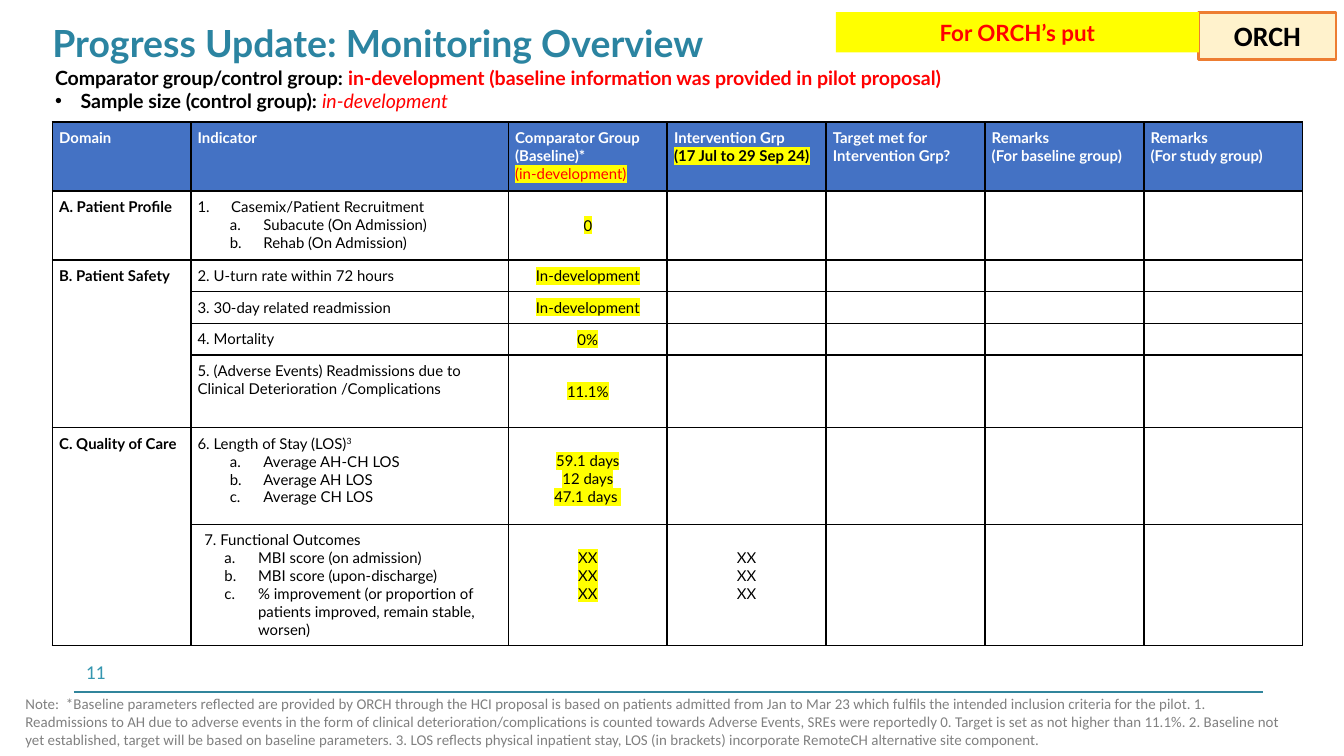
from lxml.etree import SubElement
from pptx import Presentation
from pptx.dml.color import RGBColor
from pptx.enum.shapes import MSO_CONNECTOR, MSO_SHAPE
from pptx.enum.text import MSO_ANCHOR, MSO_AUTO_SIZE, PP_ALIGN
from pptx.oxml.ns import qn
from pptx.util import Inches, Pt

COLORS = {"black": "000000", "white": "FFFFFF", "red": "FF0000", "yellow": "FFFF00",
          "header": "4472C4", "title": "2B84A1", "number": "3596B0", "rule": "31859C",
          "cream": "FFF2CC", "orange": "ED7D31", "grey": "808080"}
COLS = [10.3, 23.63] + [11.82] * 5
ROWS = [5.1, 5.13, 2.37, 2.37, 2.37, 5.4, 7.2, 9]
CENTER = PP_ALIGN.CENTER
MARK = dict(align=CENTER, highlight="yellow")
HEAD = dict(color="white", bold=True)


def write(tf, text, size=8, color="black", font="Lato", bold=False, italic=False, highlight=None,
          raised=False, align=PP_ALIGN.LEFT, bullet=None, indent=0, hang=0.25, join=False):
    """Add formatted text as a new paragraph, or join it to the last one."""
    p = tf.paragraphs[-1]
    if p.runs and not join:
        p = tf.add_paragraph()
    if not join:
        p.alignment = align
        p.space_before = Pt(0)
        pPr = p._p.get_or_add_pPr()
        pPr.set("marL", str(Inches(indent)))
        pPr.set("indent", str(-Inches(hang) if bullet else 0))
        if bullet == "•":
            SubElement(pPr, qn("a:buChar"), char=bullet)
        elif bullet:
            SubElement(pPr, qn("a:buAutoNum"), type=bullet)
        else:
            SubElement(pPr, qn("a:buNone"))
    r = p.add_run()
    r.text = text
    r.font.size, r.font.bold, r.font.italic = Pt(size), bold, italic
    r.font.color.rgb = RGBColor.from_string(COLORS[color])
    rPr = r._r.get_or_add_rPr()
    if raised:
        rPr.set("baseline", "30000")
    if highlight:
        SubElement(SubElement(rPr, qn("a:highlight")), qn("a:srgbClr"), val=COLORS[highlight])
    r.font.name = font


class Deck:
    """Holds the grid, the presentation and the current slide."""

    def __init__(self, cols=100, rows=56.25, unit=0.1):
        self.unit = unit
        self.prs = Presentation()
        self.prs.slide_width, self.prs.slide_height = self.grid(cols, rows)
        self.s = self.prs.slides.add_slide(self.prs.slide_layouts[1])

    def grid(self, *cells):
        """Turn grid columns or rows into lengths."""
        return [Inches(c * self.unit) for c in cells]

    def place(self, sp, at):
        """Move a placeholder and return its text frame."""
        sp.left, sp.top, sp.width, sp.height = self.grid(*at)
        tf = sp.text_frame
        tf.auto_size, tf.word_wrap = MSO_AUTO_SIZE.NONE, True
        return tf

    def title(self, at, text, **fmt):
        """Fill the title placeholder."""
        tf = self.place(self.s.shapes.title, at)
        tf.vertical_anchor = MSO_ANCHOR.MIDDLE
        tf.margin_left = tf.margin_right = Inches(0.08)
        tf.margin_top = tf.margin_bottom = Inches(0.04)
        write(tf, text, **fmt)

    def body(self, at, items):
        """Fill the body placeholder."""
        tf = self.place(self.s.placeholders[1], at)
        for text, fmt in items:
            write(tf, text, size=10.5, **fmt)

    def text(self, at, text, **fmt):
        """Add a wrapped text box."""
        tf = self.s.shapes.add_textbox(*self.grid(*at)).text_frame
        tf.word_wrap = True
        write(tf, text, **fmt)

    def box(self, at, text, fill, line=None, **fmt):
        """Add a filled rectangle with a centred label."""
        sp = self.s.shapes.add_shape(MSO_SHAPE.RECTANGLE, *self.grid(*at))
        sp.shadow.inherit = False
        sp.fill.solid()
        sp.fill.fore_color.rgb = RGBColor.from_string(COLORS[fill])
        if line:
            sp.line.color.rgb = RGBColor.from_string(COLORS[line])
            sp.line.width = Pt(1.5)
        else:
            sp.line.fill.background()
        write(sp.text_frame, text, align=CENTER, bold=True, **fmt)

    def rule(self, x1, x2, y, color):
        """Add a thin horizontal line."""
        c = self.s.shapes.add_connector(MSO_CONNECTOR.STRAIGHT, *self.grid(x1, y, x2, y))
        c.line.color.rgb = RGBColor.from_string(COLORS[color])
        c.line.width = Pt(1)
        SubElement(c._element.spPr, qn("a:effectLst"))

    def cell(self, cell, items, fill, middle=False, side=0.05, top=0.05):
        """Style one table cell and write its items."""
        cell.margin_left = cell.margin_right = Inches(side)
        cell.margin_top, cell.margin_bottom = Inches(top), Inches(0.05)
        cell.vertical_anchor = MSO_ANCHOR.MIDDLE if middle else MSO_ANCHOR.TOP
        tcPr = cell._tc.get_or_add_tcPr()
        for edge in ("lnL", "lnR", "lnT", "lnB"):
            ln = SubElement(tcPr, qn(f"a:{edge}"), w=str(Pt(1)))
            SubElement(SubElement(ln, qn("a:solidFill")), qn("a:srgbClr"), val=COLORS["black"])
        cell.fill.solid()
        cell.fill.fore_color.rgb = RGBColor.from_string(COLORS[fill])
        for text, fmt in items:
            write(cell.text_frame, text, **fmt)
        if not items:
            SubElement(cell.text_frame.paragraphs[0]._p, qn("a:endParaRPr"), sz="800")

    def table(self, left, top, cols, rows, cells, options, merges):
        """Add a bordered table from a sparse map of cells."""
        frame = self.s.shapes.add_table(len(rows), len(cols),
                                        *self.grid(left, top, sum(cols), sum(rows)))
        t = frame.table
        t.horz_banding = t.first_row = False
        for col, width in zip(t.columns, self.grid(*cols)):
            col.width = width
        for row, height in zip(t.rows, self.grid(*rows)):
            row.height = height
        for r in range(len(rows)):
            for c in range(len(cols)):
                self.cell(t.cell(r, c), cells.get((r, c), []), "white" if r else "header",
                          **options.get((r, c), {}))
        for column, first, last in merges:
            t.cell(first, column).merge(t.cell(last, column))


def lettered(indent, *texts):
    """Return lettered sub-items."""
    return [(t, dict(bullet="alphaLcPeriod", indent=indent)) for t in texts]


def table_cells():
    """Return the monitoring table's contents by row and column."""
    headers = [["Domain"], ["Indicator"], ["Comparator Group", "(Baseline)*"], ["Intervention Grp"],
               ["Target met for Intervention Grp?"], ["Remarks", "(For baseline group)"],
               ["Remarks", "(For study group)"]]
    cells = {(0, c): [(t, HEAD) for t in lines] for c, lines in enumerate(headers)}
    cells[0, 2].append(("(in-development)", dict(color="red", highlight="yellow")))
    cells[0, 3].append(("(17 Jul to 29 Sep 24)", dict(bold=True, highlight="yellow")))
    for r, domain in {1: "A. Patient Profile", 2: "B. Patient Safety", 6: "C. Quality of Care"}.items():
        cells[r, 0] = [(domain, dict(bold=True))]
    indicators = ["2. U-turn rate within 72 hours", "3. 30-day related readmission", "4. Mortality",
                  "5. (Adverse Events) Readmissions due to Clinical Deterioration /Complications"]
    for r, indicator in enumerate(indicators, 2):
        cells[r, 1] = [(indicator, {})]
    cells[1, 1] = [("Casemix/Patient Recruitment", dict(bullet="arabicPeriod", indent=0.25)),
                   *lettered(0.49, "Subacute (On Admission)", "Rehab (On Admission)")]
    cells[6, 1] = [("6. Length of Stay (LOS)", {}), ("3", dict(raised=True, join=True)),
                   *lettered(0.49, "Average AH-CH LOS", "Average AH LOS", "Average CH LOS")]
    cells[7, 1] = [("7. Functional Outcomes", {}),
                   *lettered(0.4, "MBI score (on admission)", "MBI score (upon-discharge)",
                             "% improvement (or proportion of patients improved, remain stable, worsen)")]
    baselines = [["0"], ["In-development"], ["In-development"], ["0%"], ["11.1%"],
                 ["59.1 days", "12 days", "47.1 days "], ["XX"] * 3]
    for r, values in enumerate(baselines, 1):
        cells[r, 2] = [(v, MARK) for v in values]
    cells[7, 3] = [("XX", dict(align=CENTER))] * 3
    return cells


def main():
    """Build the monitoring overview slide."""
    d = Deck()
    d.text((5.4, 48.6, 11.9, 2.8), "11", size=10.5, font="Calibri", color="number")
    d.rule(5.5, 94, 51.5, "rule")
    d.title((3.1, 0.5, 82, 5.4), "Progress Update: Monitoring Overview",
            size=20, color="title", bold=True)
    d.body((3.1, 4.4, 78.7, 4.7), [
        ("Comparator group/control group: ", dict(bold=True)),
        ("in-development (baseline information was provided in pilot proposal)",
         dict(color="red", bold=True, join=True)),
        ("Sample size (control group): ", dict(bold=True, bullet="•", indent=0.19, hang=0.19)),
        ("in-development", dict(color="red", italic=True, join=True))])
    d.box((89.2, 0.9, 10.2, 3.5), "ORCH", "cream", "orange", size=15, font="Calibri")
    options = {(r, 2): dict(middle=True) for r in range(1, 6)}
    options |= {(6, 2): dict(top=0.18), (7, 1): dict(side=0.1),
                (7, 2): dict(top=0.18), (7, 3): dict(top=0.18)}
    d.table(3.9, 9.1, COLS, ROWS, table_cells(), options, [(0, 2, 5), (0, 6, 7)])
    d.text((0.9, 51.2, 95.8, 5), (
        "Note:  *Baseline parameters reflected are provided by ORCH through the HCI proposal is based on "
        "patients admitted from Jan to Mar 23 which fulfils the intended inclusion criteria for the pilot. "
        "1. Readmissions to AH due to adverse events in the form of clinical deterioration/complications is "
        "counted towards Adverse Events, SREs were reportedly 0. Target is set as not higher than 11.1%. "
        "2. Baseline not yet established, target will be based on baseline parameters. 3. LOS reflects "
        "physical inpatient stay, LOS (in brackets) incorporate RemoteCH alternative site component."),
        font="Calibri", color="grey")
    d.box((62.2, 0.9, 27, 3), "For ORCH’s put", "yellow", size=12, color="red")
    d.prs.save("out.pptx")


if __name__ == "__main__":
    main()
